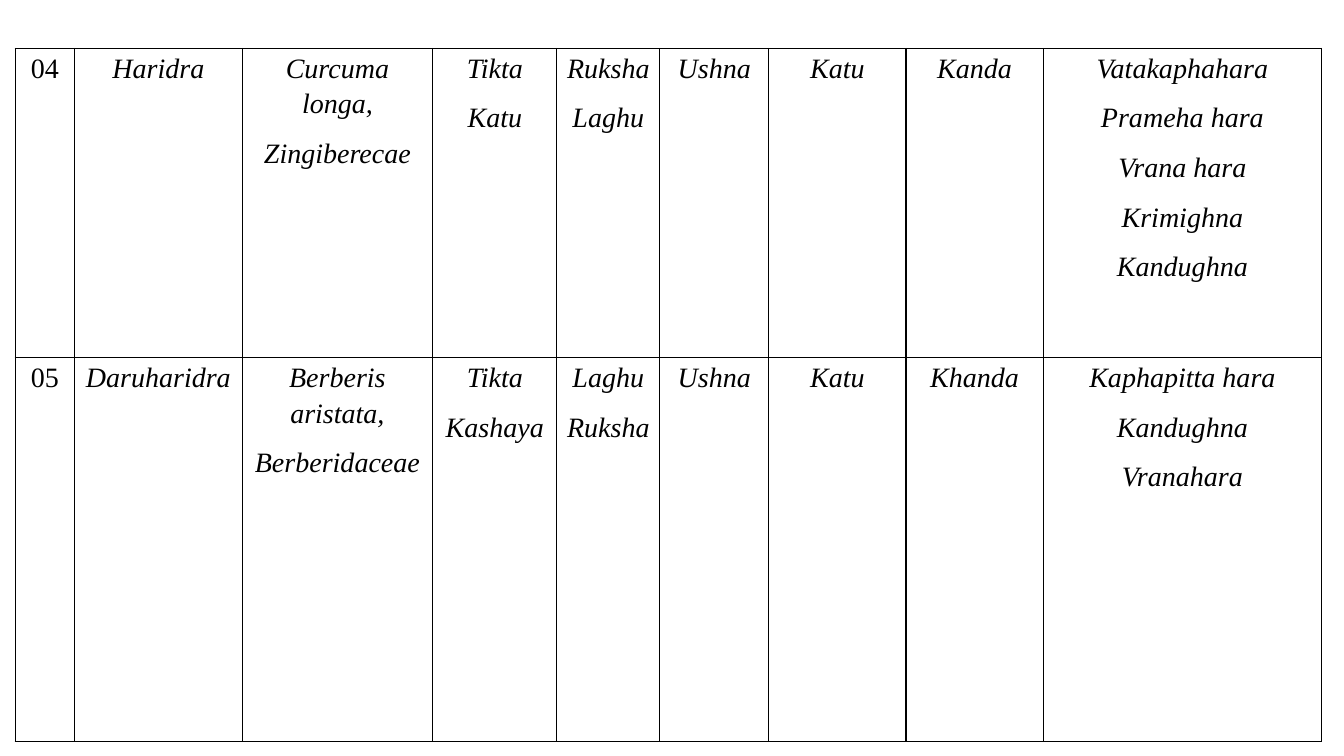
from lxml.etree import SubElement
from pptx import Presentation
from pptx.dml.color import RGBColor
from pptx.enum.text import PP_ALIGN as Align
from pptx.oxml.ns import qn
from pptx.util import Inches, Pt

INK = "000000"
COLUMN_WIDTHS = [0.59, 1.66, 1.89, 1.23, 1.02, 1.08, 1.36, 1.36, 2.76]
ROW_HEIGHTS = [3.07, 3.81]

# One row per herb; a line break starts a new paragraph
HERBS = [
    ["04", "Haridra", "Curcuma longa,\nZingiberecae", "Tikta\nKatu",
     "Ruksha\nLaghu", "Ushna", "Katu", "Kanda",
     "Vatakaphahara\nPrameha hara\nVrana hara\nKrimighna\nKandughna"],
    ["05", "Daruharidra", "Berberis aristata,\nBerberidaceae", "Tikta\nKashaya",
     "Laghu\nRuksha", "Ushna", "Katu", "Khanda",
     "Kaphapitta hara\nKandughna\nVranahara"],
]


def color(value):
    return RGBColor.from_string(value)


def add_borders(cell, value, width):
    properties = cell._tc.get_or_add_tcPr()
    for side in ("a:lnL", "a:lnR", "a:lnT", "a:lnB"):
        line = SubElement(properties, qn(side), w=str(Pt(width)))
        fill = SubElement(line, qn("a:solidFill"))
        SubElement(fill, qn("a:srgbClr"), val=value)


def fill_cell(cell, text, italic):
    add_borders(cell, INK, 1)
    cell.fill.background()
    cell.margin_left = cell.margin_right = Inches(0.07)
    cell.margin_top = cell.margin_bottom = 0
    cell.text = text
    for para in cell.text_frame.paragraphs:
        para.alignment = Align.CENTER
        para.line_spacing = 1.15
        para.space_after = Pt(10)
        para.font.name = "Times New Roman"
        para.font.size = Pt(20)
        para.font.italic = italic
        para.font.color.rgb = color(INK)


def add_herb_table(page, left, top, width, height):
    table = page.shapes.add_table(
        len(HERBS), len(COLUMN_WIDTHS),
        Inches(left), Inches(top), Inches(width), Inches(height)).table
    table.first_row = table.horz_banding = False

    # Column and row sizes share out the given box
    for column, share in zip(table.columns, COLUMN_WIDTHS):
        column.width = Inches(width * share / sum(COLUMN_WIDTHS))
    for row, share in zip(table.rows, ROW_HEIGHTS):
        row.height = Inches(height * share / sum(ROW_HEIGHTS))

    # Serial numbers are upright, all other text is italic
    for row, herb in zip(table.rows, HERBS):
        for index, (cell, text) in enumerate(zip(row.cells, herb)):
            fill_cell(cell, text, italic=index > 0)


def main():
    deck = Presentation()
    deck.slide_width, deck.slide_height = Inches(13.33), Inches(7.5)
    page = deck.slides.add_slide(deck.slide_layouts[6])
    add_herb_table(page, 0.15, 0.48, 12.96, 6.88)
    deck.save("out.pptx")


if __name__ == "__main__":
    main()
